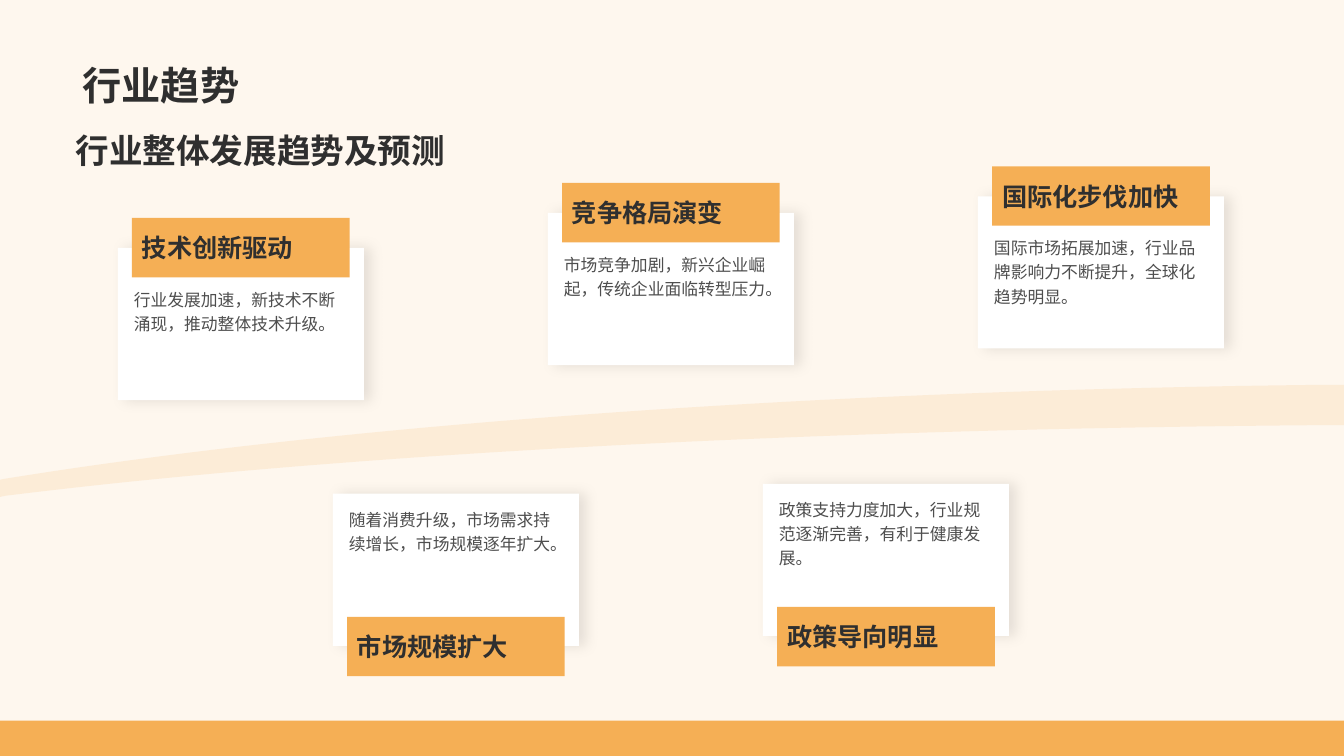
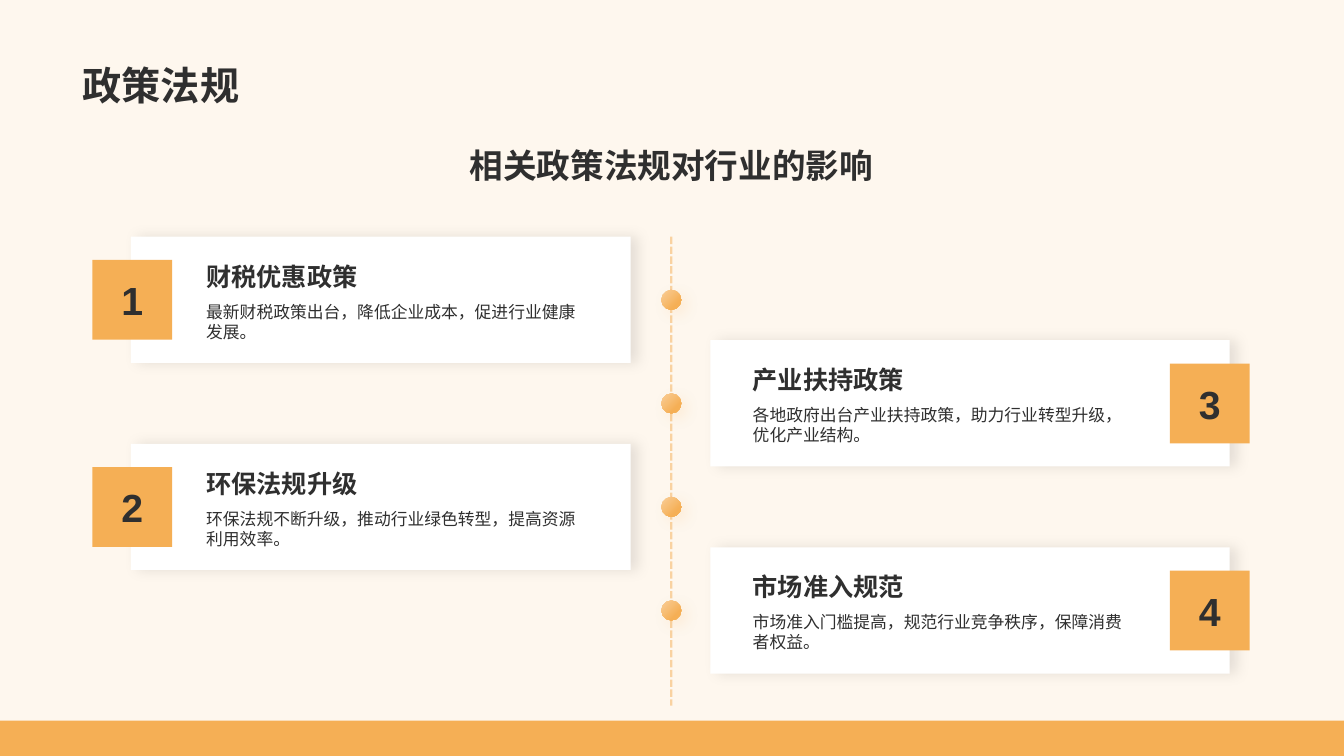
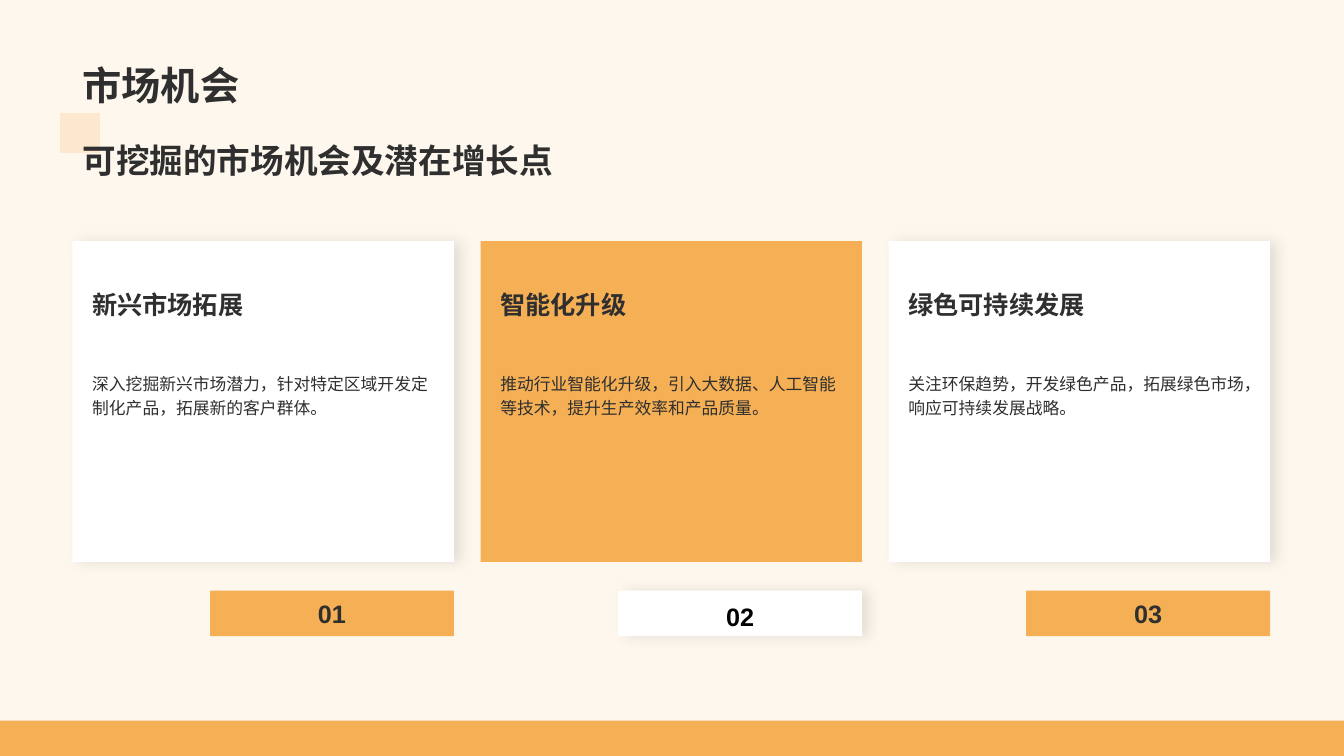
import pptx
import pptx.dml.color
import pptx.enum.dml
import pptx.enum.shapes
import pptx.enum.text
import pptx.oxml.ns
import pptx.util
import lxml.etree

Pt = pptx.util.Pt
qn = pptx.oxml.ns.qn
SHAPE = pptx.enum.shapes.MSO_SHAPE
ALIGN = pptx.enum.text.PP_ALIGN
ANCHOR = pptx.enum.text.MSO_ANCHOR

# Shared look
PAGE_W, PAGE_H = 960, 540
PAPER, ORANGE, PEACH = "FEF7EE", "F5AF55", "F9CF99"
WHITE, BLACK, INK, GRAY = "FFFFFF", "000000", "2F2F2F", "4E4E4E"
MARGIN, CONTENT_W = 51.8, 855.4
TITLE_BOX = (MARGIN, 10.1, CONTENT_W, 70.6)
SUB_Y = 89.3

# Content
TRENDS = {
    "title": "行业趋势",
    "subtitle": "行业整体发展趋势及预测",
    "cards": [  # top, heading, body; headings sit above and below by turns
        (177.1, "技术创新驱动", "行业发展加速，新技术不断涌现，推动整体技术升级。"),
        (352.6, "市场规模扩大", "随着消费升级，市场需求持续增长，市场规模逐年扩大。"),
        (152.1, "竞争格局演变", "市场竞争加剧，新兴企业崛起，传统企业面临转型压力。"),
        (345.6, "政策导向明显", "政策支持力度加大，行业规范逐渐完善，有利于健康发展。"),
        (140.2, "国际化步伐加快", "国际市场拓展加速，行业品牌影响力不断提升，全球化趋势明显。"),
    ],
}
POLICIES = {
    "title": "政策法规",
    "subtitle": "相关政策法规对行业的影响",
    "cards": [  # from top to bottom, left and right by turns
        ("1", "财税优惠政策", "最新财税政策出台，降低企业成本，促进行业健康发展。"),
        ("3", "产业扶持政策", "各地政府出台产业扶持政策，助力行业转型升级，优化产业结构。"),
        ("2", "环保法规升级", "环保法规不断升级，推动行业绿色转型，提高资源利用效率。"),
        ("4", "市场准入规范", "市场准入门槛提高，规范行业竞争秩序，保障消费者权益。"),
    ],
}
CHANCES = {
    "title": "市场机会",
    "subtitle": "可挖掘的市场机会及潜在增长点",
    "cards": [
        ("新兴市场拓展", "深入挖掘新兴市场潜力，针对特定区域开发定制化产品，拓展新的客户群体。"),
        ("智能化升级", "推动行业智能化升级，引入大数据、人工智能等技术，提升生产效率和产品质量。"),
        ("绿色可持续发展", "关注环保趋势，开发绿色产品，拓展绿色市场，响应可持续发展战略。"),
    ],
}


# Helpers
def rgb(value):
    return pptx.dml.color.RGBColor.from_string(value)


def write(tf, text, size=12, color=INK, bold=False, font="Arial", align=ALIGN.LEFT,
          anchor=ANCHOR.TOP, spacing=None, wrap=True):
    tf.auto_size = pptx.enum.text.MSO_AUTO_SIZE.NONE
    tf.word_wrap = wrap
    tf.vertical_anchor = anchor
    p = tf.paragraphs[0]
    p.alignment = align
    p.line_spacing = spacing
    r = p.add_run()
    r.text = text
    r.font.name, r.font.size, r.font.bold = font, Pt(size), bold
    r.font.color.rgb = rgb(color)


def text_box(s, box, text, **style):
    write(s.shapes.add_textbox(*map(Pt, box)).text_frame, text, **style)


def set_alpha(color, percent):
    lxml.etree.SubElement(color, qn("a:alpha"), val=str(percent * 1000))


def add_shadow(sp, color=BLACK, alpha=10, angle=0):
    effects = sp.element.spPr.find(qn("a:effectLst"))
    shadow = lxml.etree.SubElement(
        effects, qn("a:outerShdw"), blurRad=str(Pt(10)), dist=str(Pt(5)),
        dir=str(angle * 60000), algn="tl", rotWithShape="0")
    set_alpha(lxml.etree.SubElement(shadow, qn("a:srgbClr"), val=color), alpha)


def paint(sp, color, alpha=None):
    sp.shadow.inherit = False
    sp.fill.solid()
    sp.fill.fore_color.rgb = rgb(color)
    sp.line.fill.background()
    if alpha:
        set_alpha(sp.element.spPr.find(".//" + qn("a:srgbClr")), alpha)


def rect(s, box, color=ORANGE, alpha=None):
    """White rectangles are cards and cast a shadow."""
    sp = s.shapes.add_shape(SHAPE.RECTANGLE, *map(Pt, box))
    paint(sp, color, alpha)
    if color == WHITE:
        add_shadow(sp)
    return sp


def bezier(a, b, c, d, steps=40):
    for i in range(1, steps + 1):
        t = i / steps
        u = 1 - t
        yield tuple(u**3 * k + 3 * u * u * t * m + 3 * u * t * t * n + t**3 * q
                    for k, m, n, q in zip(a, b, c, d))


def new_slide(prs, title):
    s = prs.slides.add_slide(prs.slide_layouts.get_by_name("Title Only"))
    sp = s.shapes.title
    sp.left, sp.top, sp.width, sp.height = map(Pt, TITLE_BOX)
    write(sp.text_frame, title, size=28, bold=True, anchor=ANCHOR.BOTTOM)
    return s


def subtitle(s, text, box, **style):
    text_box(s, box, text, size=24, bold=True, **style)


# Slides
def build_trends(prs):
    s = new_slide(prs, TRENDS["title"])

    # Rising ribbon
    upper = [(3.6, 342), (235.4, 304.6), (565.2, 279.4), (935.3, 275)]
    lower = [(935.3, 303.8), (565.2, 306.7), (235.4, 325.4), (3.6, 354.2)]
    points = [upper[0], *bezier(*upper), (PAGE_W, 275), (PAGE_W, 303.8),
              lower[0], *bezier(*lower), (0, 355)]
    builder = s.shapes.build_freeform(0, Pt(342.7))
    builder.add_line_segments([(Pt(x), Pt(y)) for x, y in points], close=True)
    paint(builder.convert_to_shape(), ORANGE, 15)

    subtitle(s, TRENDS["subtitle"], (46.8, SUB_Y, 474.5, 41))

    # Cards
    for i, (y, heading, body) in enumerate(TRENDS["cards"]):
        x = 84.2 + 153.6 * i
        body_dy, tab_dy = (23.4, -21.4) if i % 2 == 0 else (5, 88)
        rect(s, (x, y, 175.7, 108.7), WHITE)
        text_box(s, (x + 4.3, y + body_dy, 167.1, 80.6), body,
                 color=GRAY, font="Karla", spacing=1.2)
        tab = rect(s, (x + 10.1, y + tab_dy, 155.5, 42.4))
        write(tab.text_frame, heading, size=18, bold=True, anchor=ANCHOR.MIDDLE)


def build_policies(prs):
    s = new_slide(prs, POLICIES["title"])
    subtitle(s, POLICIES["subtitle"], (MARGIN, SUB_Y, CONTENT_W, 56.9),
             align=ALIGN.CENTER, anchor=ANCHOR.MIDDLE)

    # Timeline axis
    top, step, card_h, badge, dot = 169.1, 73.95, 90.2, 57, 14.2
    axis_x = 479.5
    axis = s.shapes.add_connector(pptx.enum.shapes.MSO_CONNECTOR.STRAIGHT,
                                  Pt(axis_x), Pt(top), Pt(axis_x), Pt(504))
    axis.line.color.rgb = rgb(ORANGE)
    axis.line.width = Pt(1.75)
    axis.line.dash_style = pptx.enum.dml.MSO_LINE.SQUARE_DOT
    set_alpha(axis.element.spPr.find(".//" + qn("a:srgbClr")), 50)
    lxml.etree.SubElement(axis.element.spPr, qn("a:effectLst"))

    # Cards: left edge, width, badge left, text left
    sides = [(93.5, 357, 66, 140.2), (507.5, 370.8, 835.7, 530.6)]
    for i, (number, heading, body) in enumerate(POLICIES["cards"]):
        x, w, badge_x, text_x = sides[i % 2]
        y = top + step * i
        middle = y + card_h / 2
        rect(s, (x, y, w, card_h), WHITE)
        sp = rect(s, (badge_x, middle - badge / 2, badge, badge))
        write(sp.text_frame, number, size=28, bold=True, align=ALIGN.CENTER,
              anchor=ANCHOR.MIDDLE, wrap=False)
        text_box(s, (text_x, y + 8.6, 281.5, 34), heading, size=18, bold=True,
                 anchor=ANCHOR.BOTTOM)
        text_box(s, (text_x, y + 42.6, 281.5, 39), body)

        sp = s.shapes.add_shape(SHAPE.OVAL, Pt(axis_x - dot / 2), Pt(middle - dot / 2),
                                Pt(dot), Pt(dot))
        paint(sp, ORANGE)
        sp.fill.gradient()
        sp.fill.gradient_angle = 315
        for stop, color, position in zip(sp.fill.gradient_stops, (PEACH, ORANGE), (0, 0.75)):
            stop.color.rgb = rgb(color)
            stop.position = position
        add_shadow(sp, ORANGE, 15, 45)


def build_chances(prs):
    s = new_slide(prs, CHANCES["title"])
    rect(s, (43, 80.8, 28.4, 28.4), alpha=20)
    subtitle(s, CHANCES["subtitle"], (MARGIN, SUB_Y, CONTENT_W, 49.7), anchor=ANCHOR.MIDDLE)

    # Cards and number bars in opposite colours
    card_w, bar_w = 272.4, 174.2
    step = (CONTENT_W - card_w) / 2
    for i, (heading, body) in enumerate(CHANCES["cards"]):
        x = MARGIN + step * i
        card, bar, ink, spacing = ((WHITE, ORANGE, INK, None) if i % 2 == 0
                                   else (ORANGE, WHITE, BLACK, 1.2))
        rect(s, (x, 172.3, card_w, 229), card)
        sp = rect(s, (x + card_w - bar_w, 421.9, bar_w, 32.6), bar)
        write(sp.text_frame, f"{i + 1:02}", size=18, color=ink, bold=True,
              align=ALIGN.CENTER, anchor=ANCHOR.MIDDLE, spacing=spacing)
        text_box(s, (x + 7, 198.7, 258, 62), heading, size=18, bold=True, spacing=1.2)
        text_box(s, (x + 7, 260.6, 258, 130.3), body, spacing=1.2)


def main():
    prs = pptx.Presentation()
    prs.slide_width, prs.slide_height = Pt(PAGE_W), Pt(PAGE_H)
    master = prs.slide_master
    master.background.fill.solid()
    master.background.fill.fore_color.rgb = rgb(PAPER)

    build_trends(prs)
    build_policies(prs)
    build_chances(prs)

    # The bottom band belongs to the master
    band = rect(prs.slides[0], (0, 514.8, PAGE_W, 25.2))
    master.element.cSld.spTree.append(band.element)
    prs.save("out.pptx")


if __name__ == "__main__":
    main()
